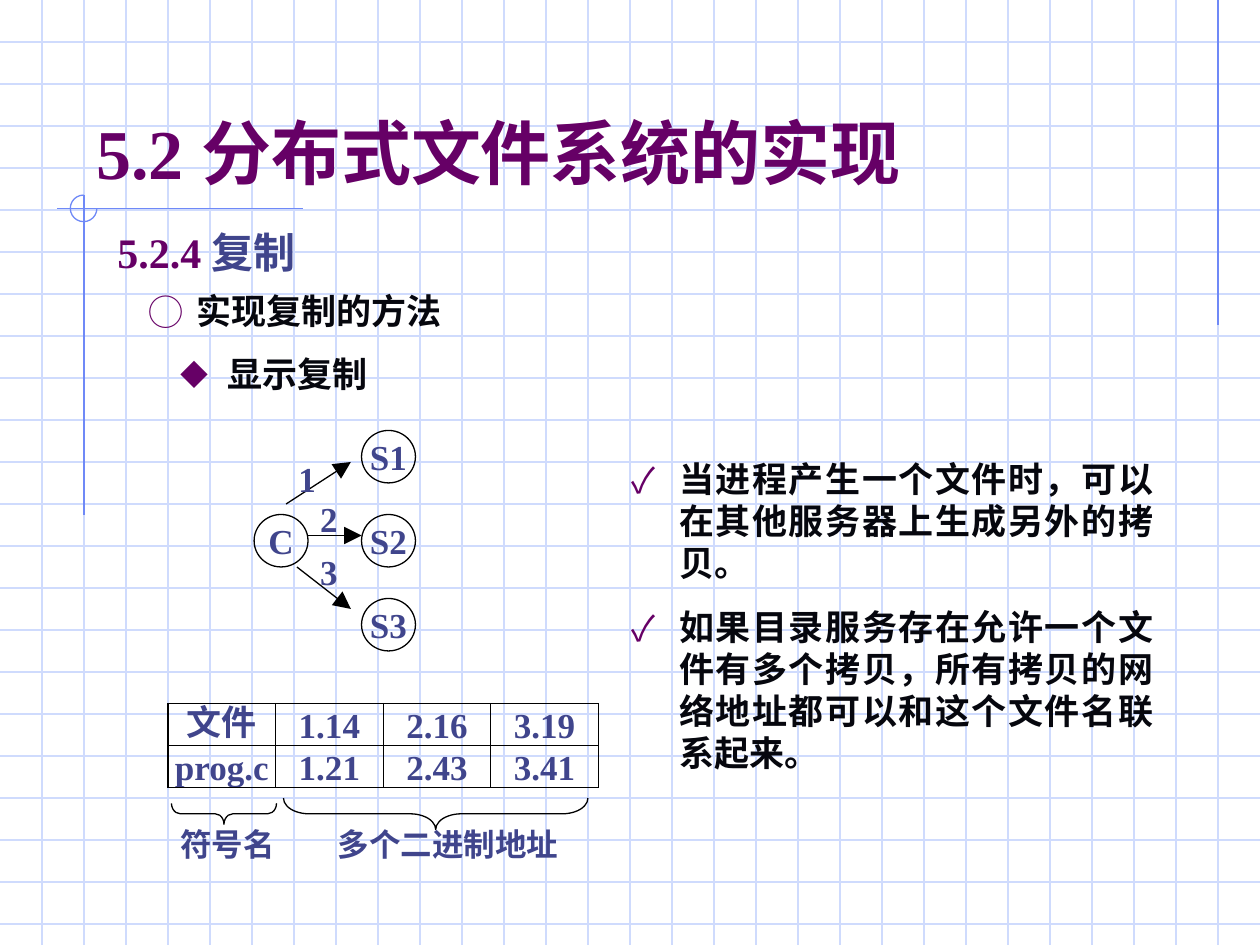
"""Build the slide on explicit replication in a distributed file system."""
import dataclasses

import pptx
import pptx.dml.color
import pptx.enum.shapes
import pptx.enum.text
import pptx.oxml.ns
import pptx.util
from lxml import etree

Pt = pptx.util.Pt
SHAPE = pptx.enum.shapes.MSO_SHAPE
ALIGN = pptx.enum.text.PP_ALIGN
ANCHOR = pptx.enum.text.MSO_ANCHOR
qn = pptx.oxml.ns.qn


@dataclasses.dataclass(frozen=True)
class Theme:
    """Colours, fonts and type sizes of the slide."""
    grid: str = "CFDBFD"
    accent: str = "6F89F7"
    purple: str = "660066"
    blue: str = "40458C"
    ink: str = "06070E"
    black: str = "000000"
    serif: str = "Times New Roman"
    sans: str = "Montserrat"
    cjk: str = "Noto Sans CJK SC"
    title: int = 40
    heading: int = 24
    body: int = 20
    label: int = 18
    leading: float = 1.2
    rule: float = 0.75


T = Theme()


def rgb(value):
    """Turn a hex string into a colour."""
    return pptx.dml.color.RGBColor.from_string(value)


def style_run(r, size, color, font):
    """Format one run, naming the East Asian font as well."""
    r.font.size, r.font.bold, r.font.name = Pt(size), True, font
    r.font.color.rgb = rgb(color)
    etree.SubElement(r.font._element, qn("a:ea"), typeface=T.cjk)


def style_paragraph(p, size, color, font, align=ALIGN.LEFT):
    """Format a paragraph and the runs in it."""
    p.alignment, p.line_spacing = align, Pt(size * T.leading)
    for r in p.runs:
        style_run(r, size, color, font)


def add_text(s, box, lines, size, color, font):
    """Add a wrapped text box with one paragraph per line."""
    tf = s.shapes.add_textbox(*map(Pt, box)).text_frame
    tf.word_wrap = True
    tf.text = "\n".join(lines)
    for p in tf.paragraphs:
        style_paragraph(p, size, color, font)
    return tf


def add_numbered_heading(s, box, number, words, size, color, font):
    """Add a heading that starts with a purple section number."""
    tf = add_text(s, box, [number + " "], size, T.purple, T.serif)
    r = tf.paragraphs[0].add_run()
    r.text = words
    style_run(r, size, color, font)
    return tf


def add_bullets(s, box, lines, mark, font, before=0, scale=100):
    """Add justified paragraphs with a hanging purple bullet."""
    tf = add_text(s, box, lines, T.body, T.ink, font)
    for p in tf.paragraphs:
        p.alignment, p.space_before = ALIGN.JUSTIFY, Pt(before)
        pPr = p._p.get_or_add_pPr()
        pPr.set("marL", str(Pt(27)))
        pPr.set("indent", str(-Pt(27)))
        clr = etree.SubElement(pPr, qn("a:buClr"))
        etree.SubElement(clr, qn("a:srgbClr"), val=T.purple)
        etree.SubElement(pPr, qn("a:buSzPct"), val=str(scale * 1000))
        etree.SubElement(pPr, qn("a:buFont"), typeface=T.cjk)
        etree.SubElement(pPr, qn("a:buChar"), char=mark)


def add_line(s, x1, y1, x2, y2, color, arrow=False):
    """Add a straight line, with an arrowhead at its end if asked."""
    c = s.shapes.add_connector(pptx.enum.shapes.MSO_CONNECTOR.STRAIGHT,
                               *map(Pt, (x1, y1, x2, y2)))
    c.line.color.rgb, c.line.width = rgb(color), Pt(T.rule)
    if arrow:
        etree.SubElement(c.line._get_or_add_ln(), qn("a:tailEnd"),
                         type="triangle", w="lg", len="lg")
    etree.SubElement(c._element.spPr, qn("a:effectLst"))


def add_outline(s, kind, box, color, adjustments=()):
    """Add an unfilled preset shape."""
    sp = s.shapes.add_shape(kind, *map(Pt, box))
    sp.shadow.inherit = False
    sp.fill.background()
    sp.line.color.rgb, sp.line.width = rgb(color), Pt(T.rule)
    for i, value in enumerate(adjustments):
        sp.adjustments[i] = value
    return sp


def add_node(s, x, y, name):
    """Add a circle with a centred name."""
    tf = add_outline(s, SHAPE.OVAL, (x, y, 30.8, 30), T.black).text_frame
    tf.text, tf.word_wrap = name, False
    tf.vertical_anchor = ANCHOR.MIDDLE
    style_paragraph(tf.paragraphs[0], T.body, T.blue, T.serif, ALIGN.CENTER)


def add_brace(s, x, y, width, depth, curve):
    """Add a brace that opens upward over the given width."""
    box = (x + (width - depth) / 2, y + (depth - width) / 2, depth, width)
    add_outline(s, SHAPE.LEFT_BRACE, box, T.black, (curve,)).rotation = 270


def style_cell(cell, text):
    """Fill in a table cell and rule its four sides."""
    cell.text, cell.vertical_anchor = text, ANCHOR.MIDDLE
    cell.margin_left = cell.margin_right = cell.margin_top = cell.margin_bottom = 0
    font = T.serif if text.isascii() else T.sans
    style_paragraph(cell.text_frame.paragraphs[0], T.body, T.blue, font, ALIGN.CENTER)
    tcPr = cell._tc.get_or_add_tcPr()
    for side in ("lnL", "lnR", "lnT", "lnB"):
        ln = etree.SubElement(tcPr, qn("a:" + side), w=str(Pt(T.rule)))
        fill = etree.SubElement(ln, qn("a:solidFill"))
        etree.SubElement(fill, qn("a:srgbClr"), val=T.black)
    cell.fill.background()


def add_address_table(s, x, y, rows, col_width, row_height):
    """Add the table of file names and binary addresses."""
    n, m = len(rows), len(rows[0])
    table = s.shapes.add_table(n, m, Pt(x), Pt(y), Pt(m * col_width),
                               Pt(n * row_height)).table
    table.first_row = table.horz_banding = False
    for i, row in enumerate(rows):
        table.rows[i].height = Pt(row_height)
        for j, text in enumerate(row):
            table.columns[j].width = Pt(col_width)
            style_cell(table.cell(i, j), text)


def add_backdrop(s, width, height, step=24):
    """Draw the squared paper and the accent lines."""
    for y in range(step, height, step):
        add_line(s, 0, y, width, y, T.grid)
    for x in range(step, width, step):
        add_line(s, x, 0, x, height, T.grid)
    add_line(s, 696, 0, 696, 186, T.accent)
    add_line(s, 173, 119.2, 32.5, 119.2, T.accent)
    add_line(s, 48, 111.5, 48, 294.5, T.accent)
    add_outline(s, SHAPE.ARC, (40.2, 111.5, 15.2, 15.2), T.accent, (0, 162))


def add_replication_diagram(s):
    """Draw the client, its three servers and the numbered arrows."""
    add_node(s, 145.2, 294, "C")
    for i in range(3):
        add_node(s, 206.6, 246 + 48 * i, f"S{i + 1}")
    for ends in ((163.5, 288, 200.5, 264), (175.8, 306, 206.6, 306),
                 (169.7, 324, 200.5, 348)):
        add_line(s, *ends, T.black, arrow=True)
    for number, x, y in (("1", 163.5, 258), ("2", 175.8, 280.8), ("3", 175.8, 311)):
        add_text(s, (x, y, 24.5, 31.5), [number], T.body, T.blue, T.serif)


def main():
    """Assemble and save the slide."""
    prs = pptx.Presentation()
    prs.slide_width, prs.slide_height = Pt(720), Pt(540)
    s = prs.slides.add_slide(prs.slide_layouts[6])
    add_backdrop(s, 720, 540)
    tf = add_numbered_heading(s, (48, 24, 612, 90), "5.2", "分布式文件系统的实现",
                              T.title, T.purple, T.cjk)
    tf.vertical_anchor = ANCHOR.BOTTOM
    add_numbered_heading(s, (60, 126, 630, 40), "5.2.4", "复制",
                         T.heading, T.blue, T.sans)
    add_bullets(s, (78, 162, 594, 31.5), ["实现复制的方法"], "◯", T.serif)
    add_bullets(s, (96, 198, 576, 31.5), ["显示复制"], "◆", T.sans, scale=80)
    add_bullets(s, (354, 258, 312, 188),
                ["当进程产生一个文件时，可以在其他服务器上生成另外的拷贝。",
                 "如果目录服务存在允许一个文件有多个拷贝，所有拷贝的网络地址都可以和这个文件名联系起来。"],
                "✓", T.sans, 12.5)
    add_replication_diagram(s)
    add_address_table(s, 96, 402, [["文件", "1.14", "2.16", "3.19"],
                                   ["prog.c", "1.21", "2.43", "3.41"]], 61.5, 24)
    add_brace(s, 162, 456, 174, 18, 0.81)
    add_brace(s, 98, 459, 60, 12, 0.42)
    for x, width, words in ((96, 84, "符号名"), (186, 150, "多个二进制地址")):
        add_text(s, (x, 468, width, 29), [words], T.label, T.blue, T.sans)
    prs.save("out.pptx")


if __name__ == "__main__":
    main()
